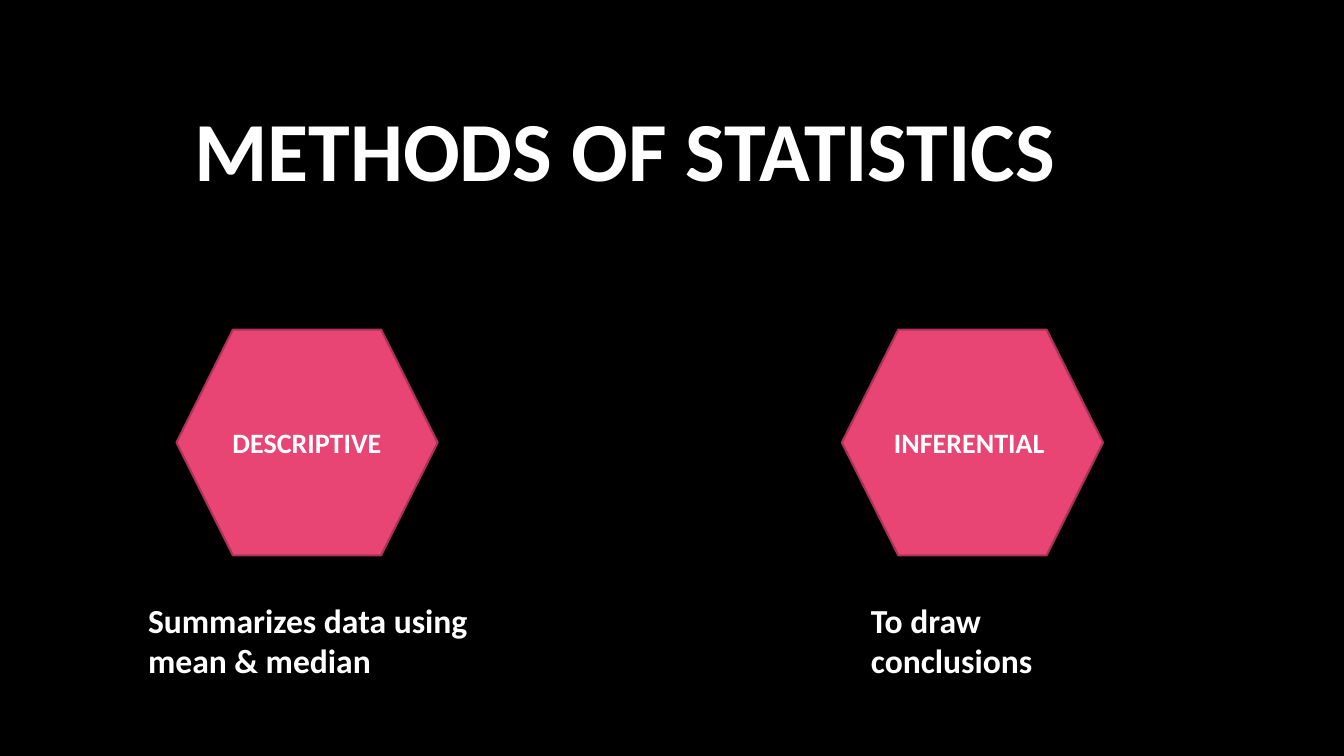
import pptx
import pptx.util
import pptx.dml.color
import pptx.enum.shapes
import pptx.enum.text

COLS, ROWS = 13.33, 7.5
CELL = pptx.util.Inches(1)
FONT = "Calibri"
HUES = {"back": "000000", "text": "FFFFFF", "fill": "E84574", "edge": "AC3356"}
ALIGN = pptx.enum.text.PP_ALIGN
MIDDLE = pptx.enum.text.MSO_ANCHOR.MIDDLE

# Each method: name, hexagon left, note text, note left and width in columns
METHODS = [
    ("DESCRIPTIVE", 1.75, "Summarizes data using mean & median", 1.37, 3.44),
    ("INFERENTIAL ", 8.35, "To draw conclusions", 8.54, 2.4),
]


def hue(name):
    return pptx.dml.color.RGBColor.from_string(HUES[name])


def grid(*cells):
    """Turn columns and rows into slide lengths."""
    return [round(cell * CELL) for cell in cells]


def write(shape, text, size, align):
    frame = shape.text_frame
    frame.word_wrap = True
    frame.text = text
    line = frame.paragraphs[0]
    line.alignment = align
    font = line.runs[0].font
    font.name, font.size, font.bold = FONT, pptx.util.Pt(size), True
    font.color.rgb = hue("text")


def add_title(slide, box):
    title = slide.shapes.add_textbox(*grid(*box))
    write(title, "METHODS OF STATISTICS ", 60, ALIGN.CENTER)
    title.text_frame.vertical_anchor = MIDDLE


def add_hex(slide, box, name):
    kind = pptx.enum.shapes.MSO_SHAPE.HEXAGON
    tile = slide.shapes.add_shape(kind, *grid(*box))
    tile.shadow.inherit = False
    tile.fill.solid()
    tile.fill.fore_color.rgb = hue("fill")
    tile.line.color.rgb = hue("edge")
    tile.line.width = pptx.util.Pt(1.5)
    write(tile, name, 20, ALIGN.CENTER)
    tile.text_frame.vertical_anchor = MIDDLE


def add_note(slide, box, text):
    note = slide.shapes.add_textbox(*grid(*box))
    write(note, text, 24, ALIGN.LEFT)


def main():
    deck = pptx.Presentation()
    deck.slide_width, deck.slide_height = grid(COLS, ROWS)
    slide = deck.slides.add_slide(deck.slide_layouts[6])
    slide.background.fill.solid()
    slide.background.fill.fore_color.rgb = hue("back")

    add_title(slide, (0.75, 0.67, 11.08, 1.59))
    for name, left, text, note_left, note_width in METHODS:
        add_hex(slide, (left, 3.27, 2.59, 2.24), name)
        add_note(slide, (note_left, 5.9, note_width, 0.91), text)
    deck.save("out.pptx")


if __name__ == "__main__":
    main()
